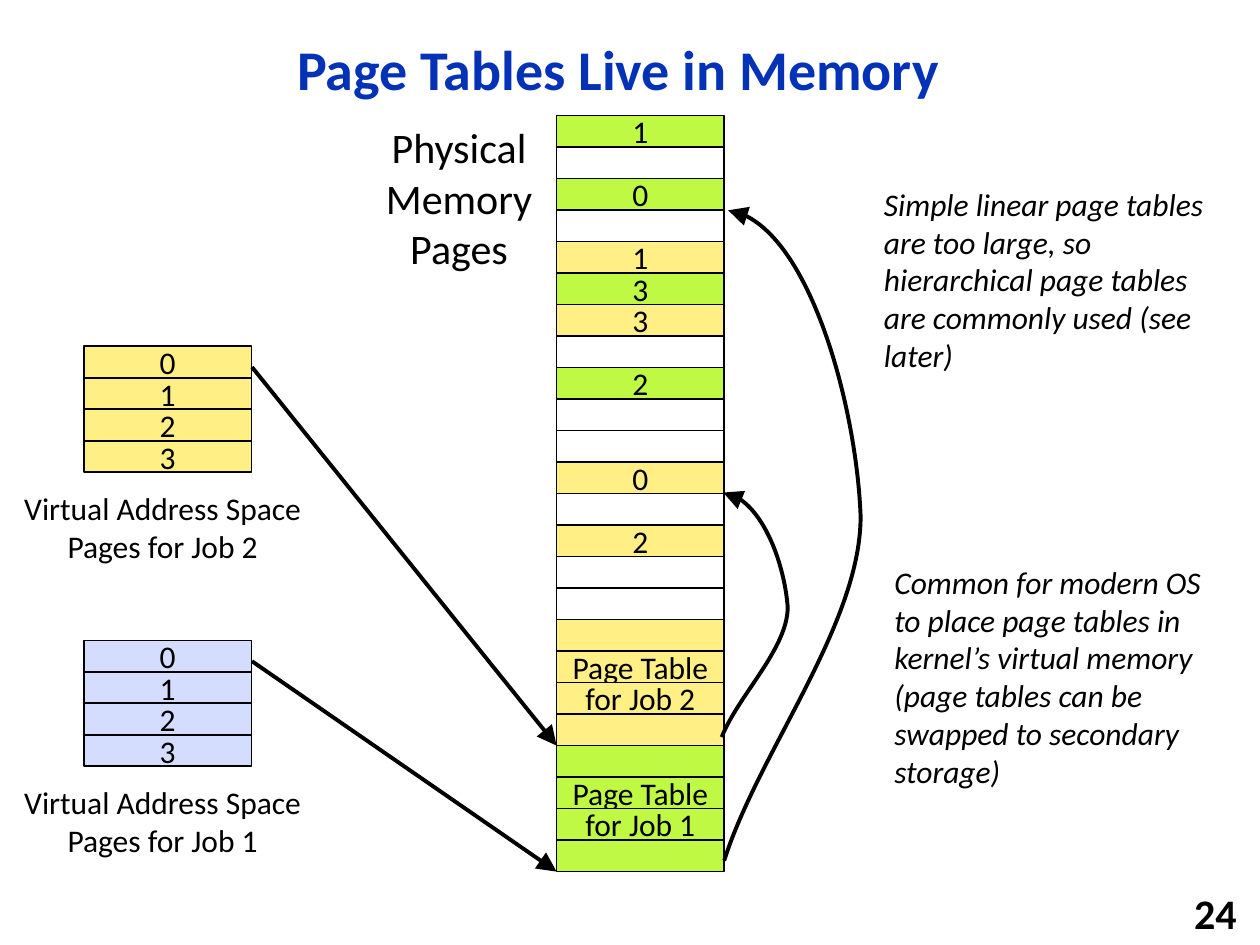
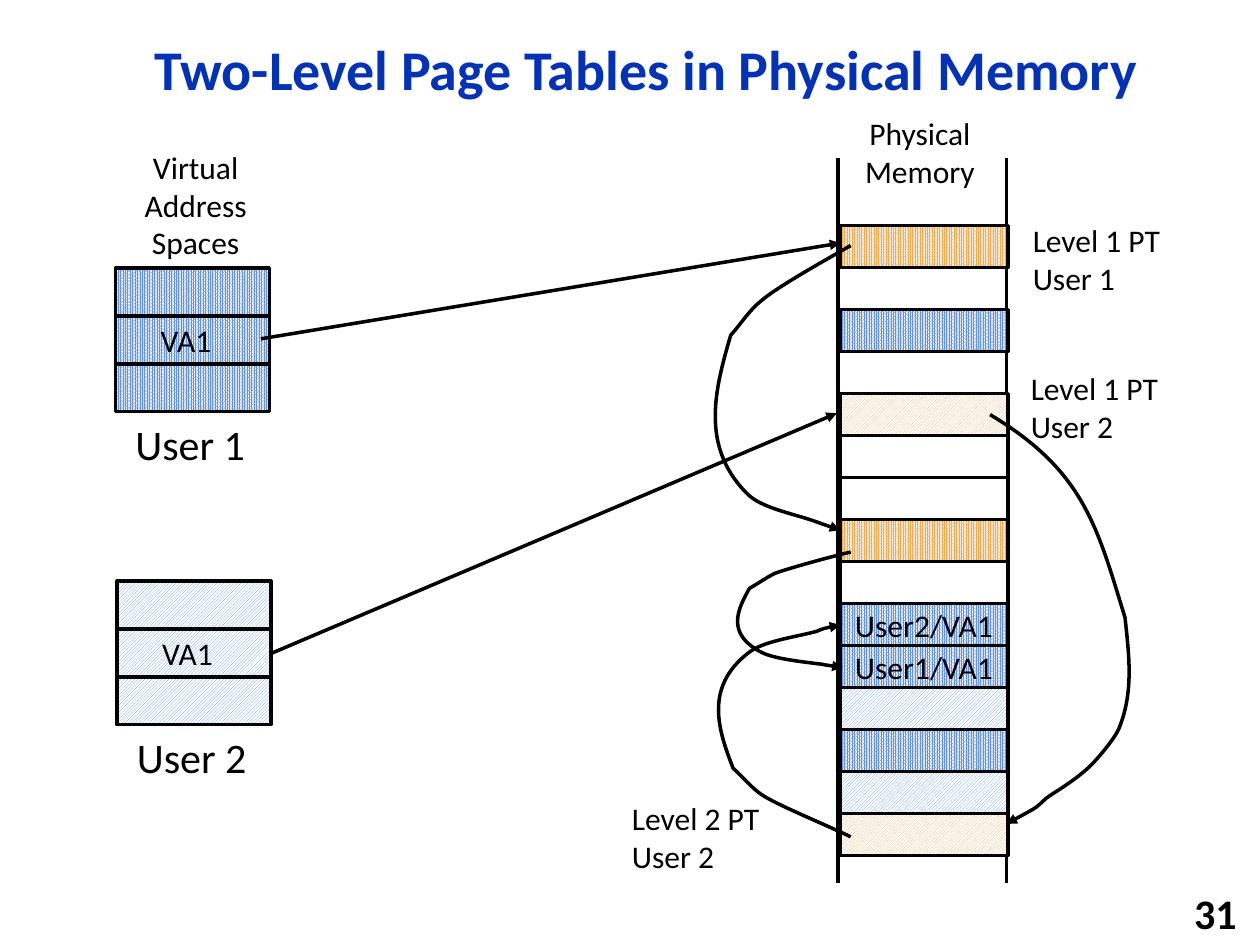
from lxml import etree
from pptx import Presentation
from pptx.dml.color import RGBColor
from pptx.enum.dml import MSO_PATTERN
from pptx.enum.shapes import MSO_CONNECTOR, MSO_SHAPE
from pptx.enum.text import MSO_ANCHOR, MSO_AUTO_SIZE, PP_ALIGN
from pptx.oxml.ns import qn
from pptx.util import Cm, Pt

LEFT, CENTER, RIGHT = PP_ALIGN.LEFT, PP_ALIGN.CENTER, PP_ALIGN.RIGHT
TOP, MIDDLE = MSO_ANCHOR.TOP, MSO_ANCHOR.MIDDLE
DOTS, STRIPES = MSO_PATTERN.PERCENT_90, MSO_PATTERN.DARK_UPWARD_DIAGONAL
RECT, STRAIGHT = MSO_SHAPE.RECTANGLE, MSO_CONNECTOR.STRAIGHT

FONT = "Calibri"
BLACK = RGBColor(0x00, 0x00, 0x00)
WHITE = RGBColor(0xFF, 0xFF, 0xFF)
TITLE_BLUE = RGBColor(0x03, 0x32, 0xB7)
GREEN = RGBColor(0xBF, 0xF9, 0x44)
YELLOW = RGBColor(0xFF, 0xEF, 0x85)
LAVENDER = RGBColor(0xD4, 0xDD, 0xFE)
BLUE = RGBColor(0x61, 0x8F, 0xFD)
ORANGE = RGBColor(0xFF, 0xA7, 0x4F)

TITLE_ONLY = 5


# Shared elements
def format_text(frame, text, size=18, align=LEFT, anchor=TOP,
                color=BLACK, bold=False, italic=False):
    frame.text = text
    frame.word_wrap = True
    frame.vertical_anchor = anchor
    for paragraph in frame.paragraphs:
        paragraph.alignment = align
        for run in paragraph.runs:
            font = run.font
            font.name, font.size = FONT, Pt(size)
            font.bold, font.italic = bold, italic
            font.color.rgb = color


def add_label(slide, text, left, top, width, height, **style):
    box = slide.shapes.add_textbox(Cm(left), Cm(top), Cm(width), Cm(height))
    format_text(box.text_frame, text, **style)


def add_titled_slide(prs, title, title_width, number):
    slide = prs.slides.add_slide(prs.slide_layouts[TITLE_ONLY])
    heading = slide.shapes.title
    heading.left, heading.top = Cm(2.33), Cm(0.42)
    heading.width, heading.height = Cm(title_width), Cm(2.06)
    format_text(heading.text_frame, title, 32, CENTER, MIDDLE, TITLE_BLUE, bold=True)
    heading.text_frame.auto_size = MSO_AUTO_SIZE.NONE
    heading.text_frame.paragraphs[0].line_spacing = 0.9
    add_label(slide, number, 19.9, 18, 5.28, 0.81,
              size=24, align=RIGHT, anchor=MIDDLE, bold=True)
    return slide


def add_page(slide, left, top, width, height, color, text="", pattern=None, weight=1):
    page = slide.shapes.add_shape(RECT, Cm(left), Cm(top), Cm(width), Cm(height))
    page.shadow.inherit = False
    if pattern is None:
        page.fill.solid()
    else:
        page.fill.patterned()
        page.fill.pattern = pattern
        page.fill.back_color.rgb = WHITE
    page.fill.fore_color.rgb = color
    if weight:
        page.line.color.rgb = BLACK
        page.line.width = Pt(weight)
    else:
        page.line.fill.background()
    if text:
        frame = page.text_frame
        format_text(frame, text, align=CENTER, anchor=MIDDLE)
        frame.word_wrap = False
        frame.margin_left = frame.margin_right = 0
        frame.margin_top = frame.margin_bottom = 0


def style_stroke(stroke, weight, head):
    stroke.line.color.rgb = BLACK
    stroke.line.width = Pt(weight)
    if head:
        etree.SubElement(stroke.line._get_or_add_ln(), qn("a:tailEnd"),
                         type="triangle", w=head, len=head)


def add_line(slide, start, end, weight=2, head=None):
    points = [Cm(value) for value in (*start, *end)]
    line = slide.shapes.add_connector(STRAIGHT, *points)
    style_stroke(line, weight, head)
    etree.SubElement(line._element.spPr, qn("a:effectLst"))


def add_curve(slide, nodes, weight=2, head="med"):
    """Draw chained cubic curves: a start point, then three nodes per curve."""
    start, *rest = [(Cm(x), Cm(y)) for x, y in nodes]
    builder = slide.shapes.build_freeform(*start, scale=1.0)
    builder.add_line_segments(rest, close=False)
    curve = builder.convert_to_shape()
    curve.shadow.inherit = False
    curve.fill.background()
    style_stroke(curve, weight, head)
    # Join each three straight segments into one cubic curve
    outline = next(curve._element.iter(qn("a:path")))
    segments = outline.findall(qn("a:lnTo"))
    for i in range(0, len(segments), 3):
        cubic = etree.SubElement(outline, qn("a:cubicBezTo"))
        for segment in segments[i:i + 3]:
            cubic.append(segment[0])
            outline.remove(segment)


# Slide 24: page tables in memory
JOB_ROW = 2.54 / 4
JOB_PAGE_WIDTH = 3.38
MEMORY_LEFT, MEMORY_TOP = 11.22, 2.33
FREE = (WHITE, "")


def page_table(color, job):
    return [(color, text) for text in ("", "Page Table", f"for Job {job}", "")]


PHYSICAL_PAGES = [
    (GREEN, "1"), FREE, (GREEN, "0"), FREE, (YELLOW, "1"), (GREEN, "3"),
    (YELLOW, "3"), FREE, (GREEN, "2"), FREE, FREE, (YELLOW, "0"), FREE,
    (YELLOW, "2"), FREE, FREE, *page_table(YELLOW, 2), *page_table(GREEN, 1),
]
JOB_2_TO_PAGE_0 = [
    (14.55, 14.86), (14.88, 14.02), (15.88, 13.08), (15.88, 12.24),
    (15.82, 11.46), (15.34, 10.01), (14.58, 9.93)]
JOB_1_TO_PAGE_0 = [
    (14.6, 17.35), (15.29, 15.16), (17.35, 12.6), (17.35, 10.41),
    (17.27, 8.28), (16.26, 4.45), (14.68, 4.24)]


def add_page_stack(slide, left, top, pages):
    for row, (color, text) in enumerate(pages):
        add_page(slide, left, top + row * JOB_ROW, JOB_PAGE_WIDTH, JOB_ROW, color, text)


def add_job(slide, job, top, color, table_end):
    add_page_stack(slide, 1.69, top, [(color, str(page)) for page in range(4)])
    add_label(slide, f"Virtual Address Space Pages for Job {job}",
              0.21, top + 2.75, 6.14, 1.78, align=CENTER)
    add_line(slide, (5.08, top + 0.42), (MEMORY_LEFT, table_end), 2.25, "lg")


def build_page_tables_slide(prs):
    slide = add_titled_slide(prs, "Page Tables Live in Memory", 20.27, "24")
    add_label(slide, "Physical Memory\nPages", 6.98, 2.33, 4.55, 3.33,
              size=24, align=CENTER)
    add_page_stack(slide, MEMORY_LEFT, MEMORY_TOP, PHYSICAL_PAGES)
    add_job(slide, 2, 6.98, YELLOW, MEMORY_TOP + 20 * JOB_ROW)
    add_job(slide, 1, 12.91, LAVENDER, MEMORY_TOP + 24 * JOB_ROW)
    for nodes in (JOB_2_TO_PAGE_0, JOB_1_TO_PAGE_0):
        add_curve(slide, nodes, 2.25, "lg")
    add_label(slide, "Simple linear page tables are too large, so hierarchical "
              "page tables are commonly used (see later)",
              17.57, 3.6, 6.99, 4.09, italic=True)
    add_label(slide, "Common for modern OS to place page tables in kernel’s virtual "
              "memory (page tables can be swapped to secondary storage)",
              17.78, 11.22, 6.99, 4.88, italic=True)


# Slide 31: two-level page tables
FRAME_HEIGHT = 2.54 / 3
FRAME_LEFT, FRAME_TOP, FRAME_WIDTH = 16.93, 4.55, 3.39
SPACE_WIDTH, SPACE_HEIGHT = 3.1, 2.9
USER_1_TABLE, USER_2_TABLE = (ORANGE, DOTS), (ORANGE, STRIPES)
USER_1_DATA, USER_2_DATA = (BLUE, DOTS), (BLUE, STRIPES)
FREE_FRAME = (WHITE, None)
FRAMES = {
    0: USER_1_TABLE, 2: USER_1_DATA, 4: USER_2_TABLE, 5: FREE_FRAME,
    6: FREE_FRAME, 7: USER_1_TABLE, 8: FREE_FRAME, 9: USER_1_DATA,
    10: USER_1_DATA, 11: USER_2_DATA, 12: USER_1_DATA, 13: USER_2_DATA,
    14: USER_2_TABLE,
}
FRAME_TEXT = {9: "User2/VA1", 10: "User1/VA1"}
TABLE_LABELS = [
    ("Level 1 PT User 1", 20.57, 4.34),
    ("Level 1 PT User 2", 20.53, 7.31),
    ("Level 2 PT User 2", 12.49, 15.98),
]
TABLE_LINKS = [
    # User 2: level 1 to level 2
    [(19.96, 8.36), (21.87, 9.5), (22.12, 10.64), (22.68, 12.45),
     (22.76, 13.21), (22.86, 13.94), (22.56, 14.68),
     (22.48, 14.88), (22.15, 15.27), (22, 15.42),
     (21.77, 15.65), (21.46, 15.85), (21.18, 16.03),
     (21.06, 16.1), (20.98, 16.21), (20.88, 16.28),
     (20.75, 16.36), (20.47, 16.51), (20.29, 16.61)],
    # User 1: level 1 to level 2
    [(17.15, 4.95), (16.79, 5.16), (15.65, 5.79), (15.34, 6.07),
     (15.09, 6.27), (14.94, 6.53), (14.73, 6.76),
     (14.43, 7.8), (14.1, 8.97), (15.04, 9.93),
     (15.32, 10.24), (15.95, 10.34), (16.46, 10.52),
     (16.59, 10.57), (16.81, 10.64), (16.94, 10.69)],
    # User 2: level 2 to data page
    [(17.15, 16.87), (16.79, 16.69), (15.67, 16.23), (15.37, 16.03),
     (15.14, 15.88), (14.99, 15.67), (14.78, 15.49),
     (14.5, 14.76), (14.17, 13.87), (15.09, 13.16),
     (15.37, 12.93), (16, 12.85), (16.46, 12.73),
     (16.59, 12.67), (16.81, 12.62), (16.94, 12.6)],
    # User 1: level 2 to data page
    [(17.15, 11.13), (16.84, 11.2), (15.88, 11.46), (15.62, 11.56),
     (15.42, 11.66), (15.29, 11.76), (15.11, 11.86),
     (14.88, 12.27), (14.61, 12.78), (15.37, 13.16),
     (15.62, 13.28), (16.15, 13.34), (16.56, 13.39),
     (16.66, 13.41), (16.87, 13.44), (16.99, 13.46)],
]


def add_address_space(slide, user, left, top, data_style):
    color, pattern = data_style
    third = SPACE_HEIGHT / 3
    add_page(slide, left, top, SPACE_WIDTH, SPACE_HEIGHT, color,
             pattern=pattern, weight=2)
    add_page(slide, left, top + third, SPACE_WIDTH, third, color,
             pattern=pattern, weight=0)
    # Outer edges of the borderless VA1 page
    for x in (left, left + SPACE_WIDTH):
        add_line(slide, (x, top + third), (x, top + 2 * third))
    for y in (top + third, top + 2 * third):
        add_line(slide, (left, y), (left + SPACE_WIDTH, y))
    add_label(slide, "VA1", left + 0.66, top + 0.94, 1.57, 1.02)
    add_label(slide, f"User {user}", left + 0.15, top + 2.92, 2.8, 1.27, size=24)


def build_two_level_slide(prs):
    slide = add_titled_slide(prs, "Two-Level Page Tables in Physical Memory",
                             21.39, "31")
    # Physical memory
    for x in (16.89, 20.29):
        add_line(slide, (x, 3.19), (x, 17.81))
    for row, (color, pattern) in FRAMES.items():
        add_page(slide, FRAME_LEFT, FRAME_TOP + row * FRAME_HEIGHT, FRAME_WIDTH,
                 FRAME_HEIGHT, color, FRAME_TEXT.get(row, ""), pattern, 2)
    # Virtual address spaces and their links
    add_address_space(slide, 1, 2.33, 5.4, USER_1_DATA)
    add_line(slide, (5.26, 6.83), (16.94, 4.9), head="med")
    add_line(slide, (5.33, 13.23), (16.87, 8.33), head="med")
    add_address_space(slide, 2, 2.36, 11.71, USER_2_DATA)
    for nodes in TABLE_LINKS:
        add_curve(slide, nodes)
    # Labels
    for text, left, top in TABLE_LABELS:
        add_label(slide, text, left, top, 4, 1.78)
    add_label(slide, "Virtual Address Spaces", 2.33, 2.84, 3.23, 2.57,
              align=CENTER, anchor=MIDDLE)
    add_label(slide, "Physical Memory", 16.93, 2.17, 3.23, 1.8,
              align=CENTER, anchor=MIDDLE)


def main():
    prs = Presentation()
    prs.slide_width, prs.slide_height = Cm(25.4), Cm(19.05)
    build_page_tables_slide(prs)
    build_two_level_slide(prs)
    prs.save("out.pptx")


if __name__ == "__main__":
    main()
